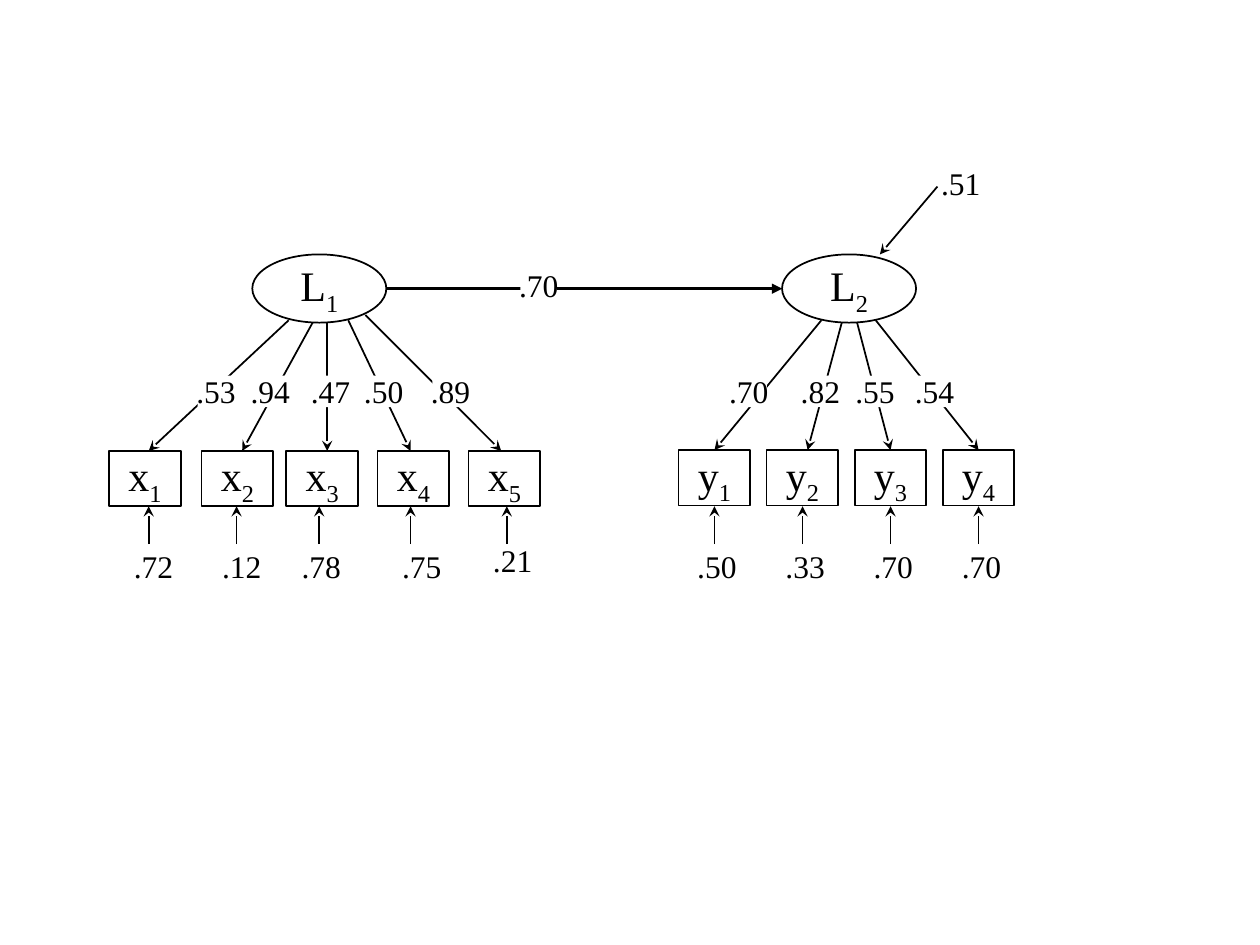
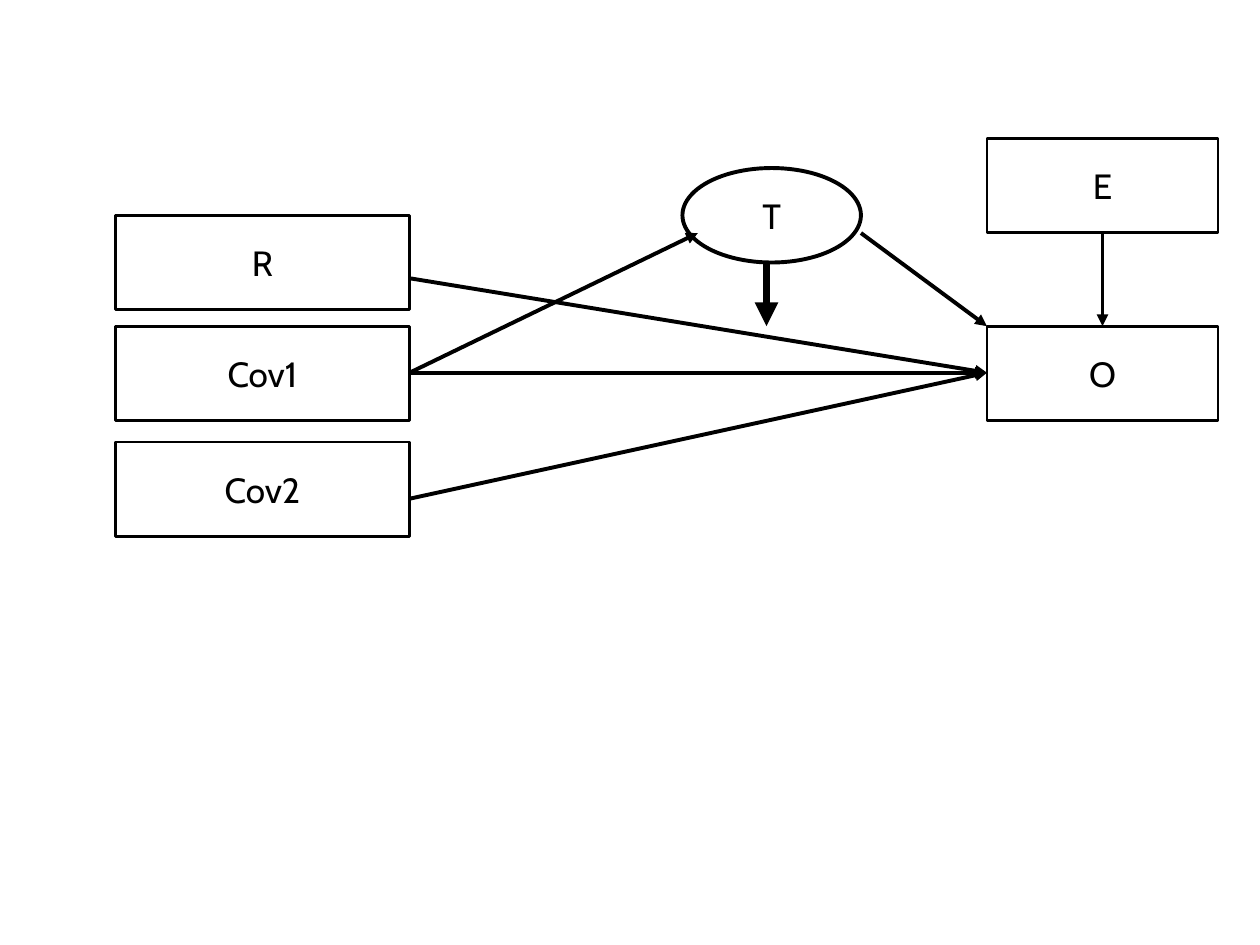
from dataclasses import dataclass

from lxml.etree import SubElement
from pptx import Presentation
from pptx.dml.color import RGBColor
from pptx.enum.shapes import MSO_CONNECTOR as Connector, MSO_SHAPE as Preset
from pptx.enum.text import MSO_ANCHOR as Anchor, PP_ALIGN as Align
from pptx.oxml.ns import qn
from pptx.util import Pt

COLORS = {"ink": "000000", "paper": "FFFFFF"}
SERIF = "Times New Roman"
SANS = "Cabin"
ERROR_TOP = 314.6
LOADING_SIZE = (20.9, 18)


@dataclass
class Node:
    text: str
    left: float
    top: float
    width: float
    height: float
    preset: Preset = Preset.RECTANGLE
    line: float = 1
    size: float = 24
    font: str = SERIF
    subscript: str = ""


@dataclass
class Arrow:
    start: tuple[float, float]
    end: tuple[float, float]
    width: float = 1
    head: str = "stealth"


@dataclass
class Indicator:
    symbol: str
    number: int
    left: float
    path_start: tuple[float, float]
    path_end: float
    loading: str
    loading_left: float
    error: str
    error_left: float
    error_path: float
    error_top: float = ERROR_TOP


def rgb(name: str) -> RGBColor:
    return RGBColor.from_string(COLORS[name])


def write(shape, text: str, size: float, font: str, subscript: str = "") -> None:
    frame = shape.text_frame
    frame.text = text
    frame.word_wrap = False
    frame.vertical_anchor = Anchor.MIDDLE
    paragraph = frame.paragraphs[0]
    paragraph.alignment = Align.CENTER
    if subscript:
        lowered = paragraph.add_run()
        lowered.text = subscript
        lowered._r.get_or_add_rPr().set("baseline", "-25000")
    for run in paragraph.runs:
        run.font.size = Pt(size)
        run.font.name = font
        run.font.color.rgb = rgb("ink")


def draw_node(slide, node: Node) -> None:
    shape = slide.shapes.add_shape(
        node.preset, Pt(node.left), Pt(node.top), Pt(node.width), Pt(node.height)
    )
    shape.shadow.inherit = False
    shape.fill.background()
    shape.line.color.rgb = rgb("ink")
    shape.line.width = Pt(node.line)
    write(shape, node.text, node.size, node.font, node.subscript)


def draw_arrow(slide, arrow: Arrow) -> None:
    ends = [Pt(value) for value in (*arrow.start, *arrow.end)]
    path = slide.shapes.add_connector(Connector.STRAIGHT, *ends)
    path.line.color.rgb = rgb("ink")
    path.line.width = Pt(arrow.width)
    SubElement(path.line._get_or_add_ln(), qn("a:tailEnd"), type=arrow.head)
    SubElement(path._element.spPr, qn("a:effectLst"))


def draw_coefficient(slide, text: str, left: float, top: float,
                     width: float, height: float) -> None:
    patch = slide.shapes.add_shape(
        Preset.RECTANGLE, Pt(left), Pt(top), Pt(width), Pt(height)
    )
    patch.shadow.inherit = False
    patch.fill.solid()
    patch.fill.fore_color.rgb = rgb("paper")
    patch.line.fill.background()
    write(patch, text, 18, SERIF)


def draw_error(slide, text: str, left: float, top: float) -> None:
    label = slide.shapes.add_textbox(Pt(left), Pt(top), Pt(50.4), Pt(18))
    write(label, text, 18, SERIF)


def draw_indicators(slide, indicators: list[Indicator], top: float) -> None:
    for item in indicators:
        draw_node(slide, Node(item.symbol, item.left, top, 41, 31.7,
                              subscript=str(item.number)))
        draw_arrow(slide, Arrow(item.path_start, (item.path_end, top)))
        draw_arrow(slide, Arrow((item.error_path, 311), (item.error_path, 289.3)))
        draw_error(slide, item.error, item.error_left, item.error_top)
    for item in indicators:
        draw_coefficient(slide, item.loading, item.loading_left, 214.6, *LOADING_SIZE)


def build_latent_model(slide) -> None:
    x_indicators = [
        Indicator("x", 1, 62.4, (165, 183), 85, ".53", 113, ".72", 62.6, 85),
        Indicator("x", 2, 115.2, (178.6, 184.5), 138.4, ".94", 144, ".12", 113, 135.2),
        Indicator("x", 3, 163.6, (187, 184.5), 187, ".47", 178.4, ".78", 158.4, 182.4),
        Indicator("x", 4, 215.8, (199, 183), 234.6, ".50", 208.8, ".75", 215.8, 234.6),
        Indicator("x", 5, 267.8, (208.8, 180), 286.4, ".89", 247, ".21", 267.8, 289.6, 311),
    ]
    y_paths = [
        ((469.4, 183), 408.3, ".70", 417.4, ".50"),
        ((481, 184.5), 461.5, ".82", 458.4, ".33"),
        ((489.8, 184.5), 508.9, ".55", 489.6, ".70"),
        ((500.4, 183), 559.2, ".54", 523.6, ".70"),
    ]
    y_indicators = [
        Indicator("y", index + 1, 387.8 + 50.3 * index, start, end, loading,
                  loading_left, error, 384.5 + 50.4 * index, 408.3 + 50.3 * index)
        for index, (start, end, loading, loading_left, error) in enumerate(y_paths)
    ]
    for number, left in ((1, 144.2), (2, 446.9)):
        draw_node(slide, Node("L", left, 145.4, 76.6, 39, Preset.OVAL,
                              subscript=str(number)))
    draw_arrow(slide, Arrow((221, 165), (447, 165), 1.5, "triangle"))
    draw_arrow(slide, Arrow((535.7, 106.6), (502.8, 145.4)))
    draw_indicators(slide, y_indicators, 257.2)
    draw_indicators(slide, x_indicators, 257.7)
    draw_coefficient(slide, ".70", 297.4, 145.4, 20.9, 34.6)
    draw_coefficient(slide, ".51", 538.6, 87.1, 20.9, 34.6)


def build_outcome_model(slide) -> None:
    predictors = [("R", 123), ("Cov1", 186.4), ("Cov2", 252.6)]
    outcomes = [("E", 79), ("O", 186.4)]
    boxes = [(text, 66, top, 168) for text, top in predictors]
    boxes += [(text, 564, top, 132) for text, top in outcomes]
    for text, left, top, width in boxes:
        draw_node(slide, Node(text, left, top, width, 54, line=1.5, size=20, font=SANS))
    draw_node(slide, Node("T", 390, 96, 102, 54, Preset.OVAL, 2.25, 20, SANS))

    outcome = (564, 213)
    paths = [
        ((234, 213), outcome, 2.25),
        ((234, 285), outcome, 2.25),
        ((234, 159), outcome, 2.25),
        ((234, 213), (398.8, 133.2), 2.25),
        ((438, 150), (438, 186.4), 4.5),
        ((492, 133.2), (564, 186.4), 2.25),
        ((630, 133.2), (630, 186.4), 2.25),
    ]
    for start, end, width in paths:
        draw_arrow(slide, Arrow(start, end, width, "triangle"))


def main() -> None:
    deck = Presentation()
    deck.slide_width = Pt(720)
    deck.slide_height = Pt(540)
    blank = deck.slide_layouts[6]
    for build in (build_latent_model, build_outcome_model):
        build(deck.slides.add_slide(blank))
    deck.save("out.pptx")


if __name__ == "__main__":
    main()
